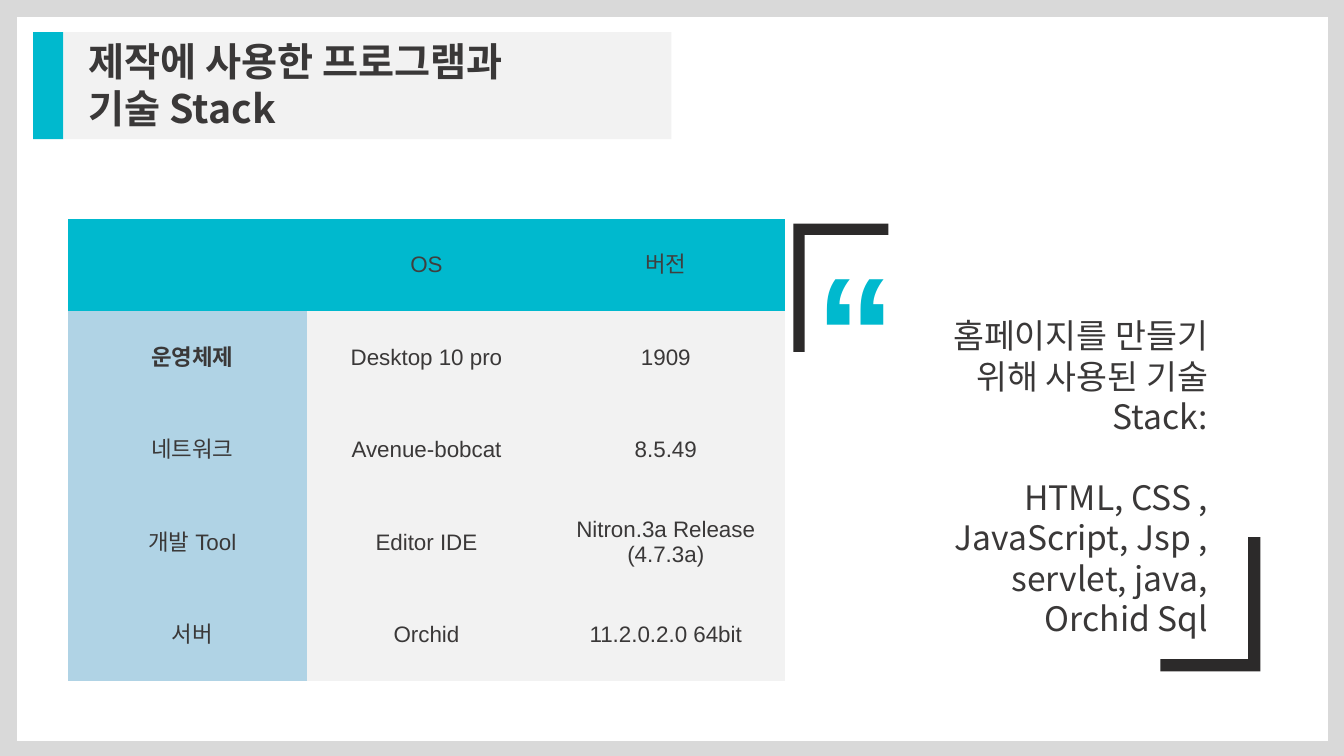
from pptx import Presentation
from pptx.dml.color import RGBColor
from pptx.enum.shapes import MSO_SHAPE
from pptx.enum.text import MSO_ANCHOR, MSO_AUTO_SIZE, PP_ALIGN
from pptx.oxml.ns import qn
from pptx.util import Inches, Pt

RECTANGLE = MSO_SHAPE.RECTANGLE
TOP, MIDDLE = MSO_ANCHOR.TOP, MSO_ANCHOR.MIDDLE
LEFT, CENTER, RIGHT = PP_ALIGN.LEFT, PP_ALIGN.CENTER, PP_ALIGN.RIGHT
NO_AUTO_SIZE = MSO_AUTO_SIZE.NONE

KOREAN_FONT, TABLE_FONT = "Noto Sans CJK KR", "Arial"
TEAL, PALE_BLUE, PALE_GRAY = "00B9CE", "B0D3E5", "F2F2F2"
FRAME_GRAY, WHITE = "D9D9D9", "FFFFFF"
TEXT_DARK, HEADER_DARK, BRACKET_DARK = "3A3838", "3F3F3F", "2C2A2A"
PLAIN_TABLE_STYLE = "{2D5ABB26-0587-4C30-8999-92F81FD0307C}"

TITLE = "제작에 사용한 프로그램과\v기술 Stack"
STACK_ROWS = [
    ["", "OS", "버전"],
    ["운영체제", "Desktop 10 pro", "1909"],
    ["네트워크", "Avenue-bobcat", "8.5.49"],
    ["개발 Tool", "Editor IDE", "Nitron.3a Release (4.7.3a)"],
    ["서버", "Orchid", "11.2.0.2.0 64bit"],
]
STACK_SUMMARY = [
    ("홈페이지를 만들기 위해 사용된 기술 Stack:", 0),
    ("HTML, CSS , JavaScript, Jsp , servlet, java,", 29),
    ("Orchid Sql", 0),
]


def paint(fill, color):
    fill.solid()
    fill.fore_color.rgb = RGBColor.from_string(color)


def write(paragraph, text, font=KOREAN_FONT, size=24, color=TEXT_DARK,
          bold=False, align=LEFT, before=0):
    paragraph.alignment = align
    paragraph.space_before = Pt(before)
    paragraph.text = text
    for run in paragraph.runs:
        run.font.name = font
        run.font.size = Pt(size)
        run.font.bold = bold
        run.font.color.rgb = RGBColor.from_string(color)
        east_asian = run.font._element.makeelement(qn("a:ea"), {"typeface": font})
        run.font._element.find(qn("a:latin")).addnext(east_asian)


def finish_shape(shape, color):
    paint(shape.fill, color)
    shape.line.fill.background()
    shape.shadow.inherit = False


def add_block(slide, left, top, width, height, color):
    shape = slide.shapes.add_shape(
        RECTANGLE, Inches(left), Inches(top), Inches(width), Inches(height))
    finish_shape(shape, color)


def add_text_frame(slide, left, top, width, height, wrap=True):
    shape = slide.shapes.add_textbox(
        Inches(left), Inches(top), Inches(width), Inches(height))
    shape.text_frame.word_wrap = wrap
    return shape.text_frame


def add_page_frame(slide, width, height):
    add_block(slide, 0, 0, width, height, FRAME_GRAY)
    add_block(slide, 0.17, 0.17, 13, 7.18, WHITE)


def add_title_bar(slide, left, top, width, height):
    accent = 0.3
    add_block(slide, left, top, accent, height, TEAL)
    add_block(slide, left + accent, top, width - accent, height, PALE_GRAY)
    title = slide.shapes.title
    title.left, title.top = Inches(left + 0.45), Inches(top)
    title.width, title.height = Inches(width - 0.6), Inches(height)
    frame = title.text_frame
    frame.auto_size = NO_AUTO_SIZE
    frame.vertical_anchor = TOP
    write(frame.paragraphs[0], TITLE, size=28, bold=True)
    slide.shapes._spTree.append(title._element)


def add_stack_table(slide, left, top, width, height):
    row_count, column_count = len(STACK_ROWS), len(STACK_ROWS[0])
    table = slide.shapes.add_table(
        row_count, column_count, Inches(left), Inches(top),
        Inches(width), Inches(height)).table
    table.first_row = table.horz_banding = False
    table._tbl.tblPr.find(qn("a:tableStyleId")).text = PLAIN_TABLE_STYLE
    for row, texts in enumerate(STACK_ROWS):
        for column, text in enumerate(texts):
            cell = table.cell(row, column)
            is_header, is_label = row == 0, column == 0
            paint(cell.fill, TEAL if is_header else PALE_BLUE if is_label else PALE_GRAY)
            cell.vertical_anchor = MIDDLE
            cell.margin_left = Inches(0.2 if is_label else 0.1)
            write(cell.text_frame.paragraphs[0], text, font=TABLE_FONT, size=16,
                  color=HEADER_DARK if is_header else TEXT_DARK,
                  bold=is_label and row == 1, align=CENTER)


def add_corner_bracket(slide, corner_x, corner_y, reach_x, reach_y, thickness):
    step_x = thickness if reach_x > 0 else -thickness
    step_y = thickness if reach_y > 0 else -thickness
    offsets = [(0, 0), (reach_x, 0), (reach_x, step_y), (step_x, step_y),
               (step_x, reach_y), (0, reach_y)]
    points = [(Inches(corner_x + x), Inches(corner_y + y)) for x, y in offsets]
    builder = slide.shapes.build_freeform(*points[0])
    builder.add_line_segments(points[1:], close=True)
    finish_shape(builder.convert_to_shape(), BRACKET_DARK)


def add_stack_quote(slide, left, top, width, height):
    add_corner_bracket(slide, left + width, top + height, -0.99, -1.33, 0.12)
    add_corner_bracket(slide, left, top, 0.94, 1.27, 0.11)
    mark = add_text_frame(slide, left + 0.12, top + 0.01, 1.01, 2.04, wrap=False)
    write(mark.paragraphs[0], "“", font=TABLE_FONT, size=115, color=TEAL, bold=True)
    summary = add_text_frame(slide, left + 1.01, top + 0.86, 3.2, 3.33)
    for index, (text, before) in enumerate(STACK_SUMMARY):
        paragraph = summary.add_paragraph() if index else summary.paragraphs[0]
        write(paragraph, text, align=RIGHT, before=before)


def main():
    presentation = Presentation()
    presentation.slide_width, presentation.slide_height = Inches(13.33), Inches(7.5)
    slide = presentation.slides.add_slide(
        presentation.slide_layouts.get_by_name("Title Only"))
    add_page_frame(slide, 13.33, 7.5)
    add_title_bar(slide, 0.33, 0.32, 6.33, 1.06)
    add_stack_table(slide, 0.67, 2.17, 7.12, 4.59)
    add_stack_quote(slide, 7.87, 2.22, 4.63, 4.44)
    presentation.save("out.pptx")


if __name__ == "__main__":
    main()
